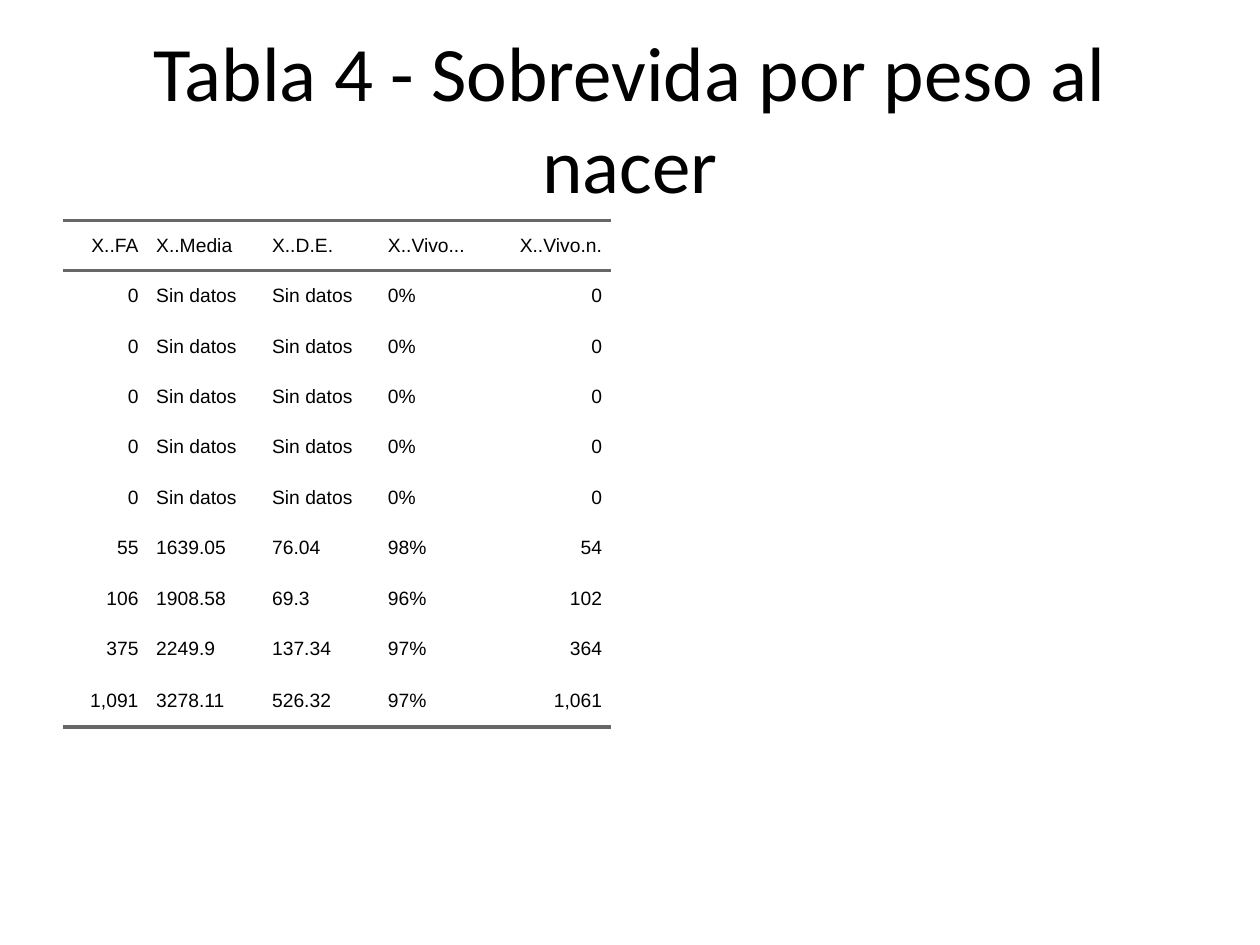
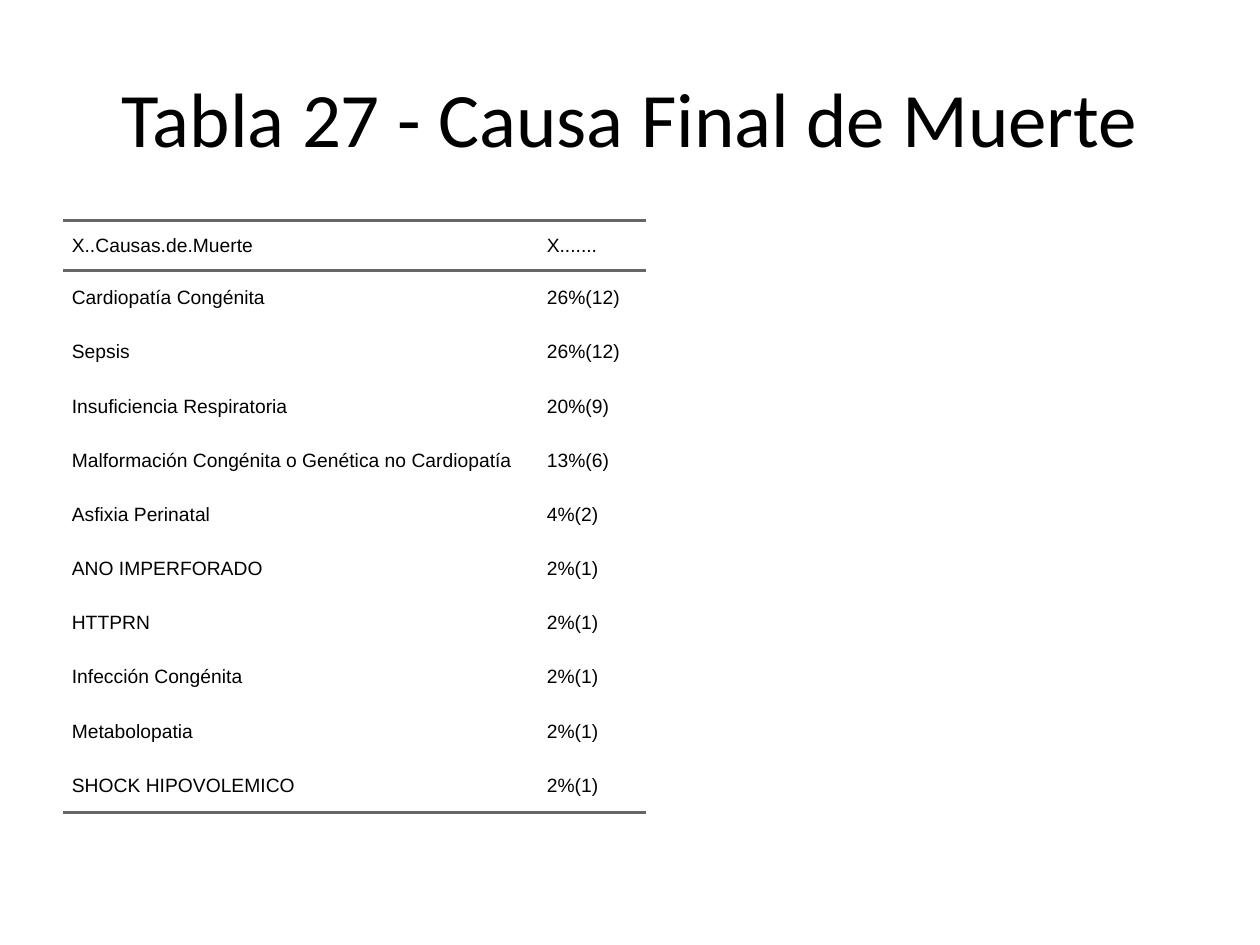
import pptx
import pptx.dml.color
import pptx.enum.text
import pptx.oxml.ns
import pptx.util
from lxml import etree
from pptx.util import Inches

# Shared style
TEXT_COLOR = "000000"
RULE_COLOR = "666666"
BACKGROUND = "FFFFFF"
TITLE_FONT = "Calibri"
TABLE_FONT = "Arial"
NO_STYLE = "{2D5ABB26-0587-4C30-8999-92F81FD0307C}"
RULE_WIDTH = pptx.util.Pt(2)
CELL_INDENT = Inches(0.07)
HEADER_HEIGHT = 0.4
ALIGNMENTS = {
    "l": pptx.enum.text.PP_ALIGN.LEFT,
    "r": pptx.enum.text.PP_ALIGN.RIGHT,
}

# Slide content
SURVIVAL_ROWS = [
    ["X..FA", "X..Media", "X..D.E.", "X..Vivo...", "X..Vivo.n."],
    *[["0", "Sin datos", "Sin datos", "0%", "0"]] * 5,
    ["55", "1639.05", "76.04", "98%", "54"],
    ["106", "1908.58", "69.3", "96%", "102"],
    ["375", "2249.9", "137.34", "97%", "364"],
    ["1,091", "3278.11", "526.32", "97%", "1,061"],
]
DEATH_CAUSE_ROWS = [
    ["X..Causas.de.Muerte", "X......."],
    ["Cardiopatía Congénita", "26%(12)"],
    ["Sepsis", "26%(12)"],
    ["Insuficiencia Respiratoria", "20%(9)"],
    ["Malformación Congénita o Genética no Cardiopatía", "13%(6)"],
    ["Asfixia Perinatal", "4%(2)"],
    ["ANO IMPERFORADO", "2%(1)"],
    ["HTTPRN", "2%(1)"],
    ["Infección Congénita", "2%(1)"],
    ["Metabolopatia", "2%(1)"],
    ["SHOCK HIPOVOLEMICO", "2%(1)"],
]


def color(value):
    return pptx.dml.color.RGBColor.from_string(value)


def set_font(paragraph, name, size):
    paragraph.font.name = name
    paragraph.font.size = pptx.util.Pt(size)
    paragraph.font.color.rgb = color(TEXT_COLOR)


def add_titled_slide(presentation, title_text):
    slide = presentation.slides.add_slide(presentation.slide_layouts[5])
    slide.background.fill.solid()
    slide.background.fill.fore_color.rgb = color(BACKGROUND)
    title = slide.shapes.title
    title.left, title.top = Inches(0.5), Inches(0.3)
    title.width, title.height = Inches(9), Inches(1.25)
    title.text_frame.text = title_text
    title.text_frame.vertical_anchor = pptx.enum.text.MSO_ANCHOR.MIDDLE
    paragraph = title.text_frame.paragraphs[0]
    paragraph.alignment = pptx.enum.text.PP_ALIGN.CENTER
    set_font(paragraph, TITLE_FONT, 44)
    return slide


def add_rule(cell, side):
    """Draw one horizontal border; side is lnT or lnB."""
    qn = pptx.oxml.ns.qn
    properties = cell._tc.get_or_add_tcPr()
    line = etree.SubElement(properties, qn(f"a:{side}"), w=str(RULE_WIDTH))
    fill = etree.SubElement(line, qn("a:solidFill"))
    etree.SubElement(fill, qn("a:srgbClr"), val=RULE_COLOR)


def fill_cell(cell, text, alignment):
    cell.text = text
    cell.vertical_anchor = pptx.enum.text.MSO_ANCHOR.MIDDLE
    cell.margin_left = cell.margin_right = 0
    cell.margin_top = cell.margin_bottom = 0
    paragraph = cell.text_frame.paragraphs[0]
    paragraph.alignment = ALIGNMENTS[alignment]
    paragraph.space_before = paragraph.space_after = pptx.util.Pt(5)
    set_font(paragraph, TABLE_FONT, 11)
    paragraph_properties = paragraph._p.get_or_add_pPr()
    for side in ("marL", "marR"):
        paragraph_properties.set(side, str(CELL_INDENT))


def add_ruled_table(slide, rows, column_widths, alignments, row_height, last_height):
    heights = [HEADER_HEIGHT] + [row_height] * (len(rows) - 2) + [last_height]
    frame = slide.shapes.add_table(
        len(rows), len(column_widths), Inches(0.5), Inches(1.75),
        Inches(sum(column_widths)), Inches(sum(heights)))
    table = frame.table
    table.first_row = table.horz_banding = False
    table._tbl.tblPr.find(pptx.oxml.ns.qn("a:tableStyleId")).text = NO_STYLE
    for column, width in zip(table.columns, column_widths):
        column.width = Inches(width)
    for row, height in zip(table.rows, heights):
        row.height = Inches(height)

    # Rules run above and below the header, and below the last row
    for row_index, values in enumerate(rows):
        for column_index, text in enumerate(values):
            cell = table.cell(row_index, column_index)
            fill_cell(cell, text, alignments[column_index])
            if row_index == 0:
                add_rule(cell, "lnT")
            if row_index in (0, len(rows) - 1):
                add_rule(cell, "lnB")
            cell.fill.background()


def main():
    presentation = pptx.Presentation()
    presentation.slide_width, presentation.slide_height = Inches(10), Inches(7.5)

    # Survival by birth weight
    slide = add_titled_slide(presentation, "Tabla 4 - Sobrevida por peso al nacer")
    add_ruled_table(slide, SURVIVAL_ROWS, [0.67, 0.92, 0.92, 0.9, 0.94],
                    "rlllr", row_height=0.4, last_height=0.42)

    # Final cause of death
    slide = add_titled_slide(presentation, "Tabla 27 - Causa Final de Muerte")
    add_ruled_table(slide, DEATH_CAUSE_ROWS, [3.77, 0.86],
                    "ll", row_height=0.43, last_height=0.43)

    presentation.save("out.pptx")


if __name__ == "__main__":
    main()
